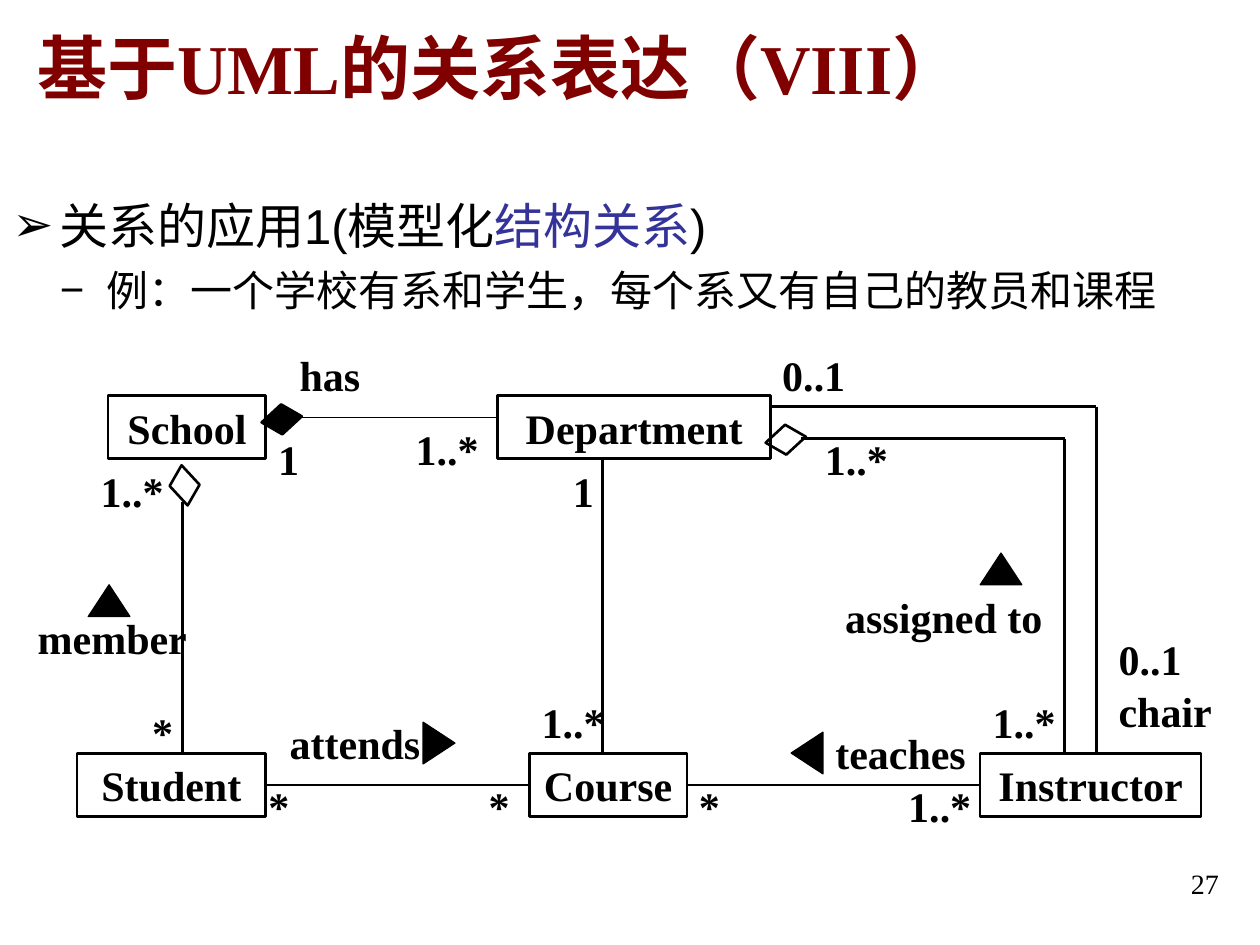
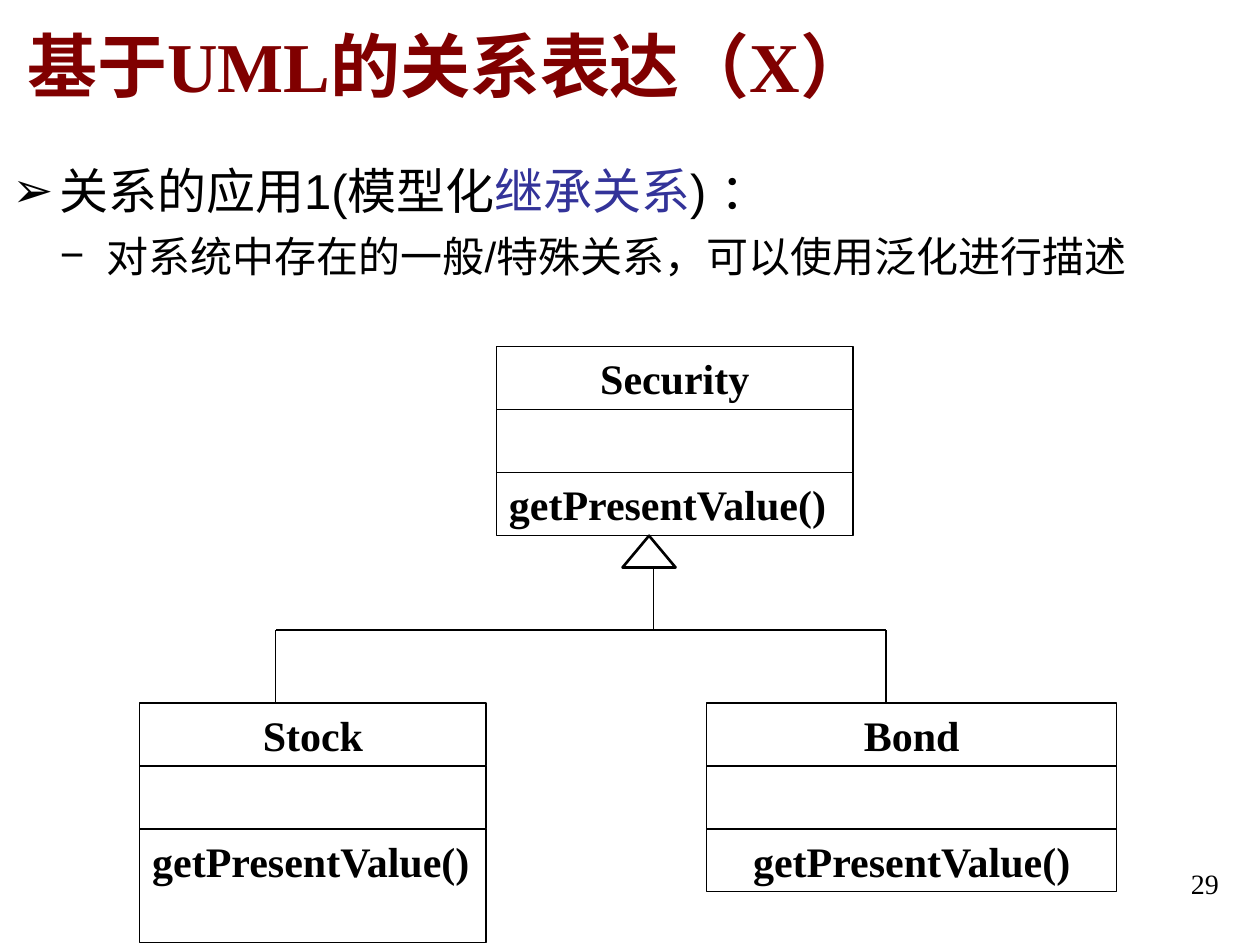
"""Builds two slides on UML relations: structural modelling and inheritance."""
from itertools import pairwise

from lxml.etree import SubElement
from pptx import Presentation
from pptx.dml.color import RGBColor
from pptx.enum.shapes import MSO_CONNECTOR, MSO_SHAPE as SHAPE
from pptx.enum.text import MSO_ANCHOR, PP_ALIGN as ALIGN
from pptx.oxml.ns import qn
from pptx.util import Cm, Pt

BLACK, MAROON, INDIGO = "000000", "800000", "333399"
SERIF, SANS = "Times New Roman", "Arial"
THIN, THICK = 0.75, 1.5
ROW = 1.27
DIAMOND_SIZE, TRIANGLE_SIZE, GENERAL_SIZE = (0.64, 0.51), (0.84, 0.64), (1.07, 0.64)

STRUCTURE = {
    "title": "基于UML的关系表达（VIII）",
    "title_at": (0.51, -0.25),
    "heading": ("关系的应用1(模型化", "结构关系", ")"),
    "detail": "例：一个学校有系和学生，每个系又有自己的教员和课程",
    "body_box": (0, 3.81, 24.33, 5.28),
    "page": "27",
}
INHERITANCE = {
    "title": "基于UML的关系表达（X）",
    "title_at": (0.3, -0.28),
    "heading": ("关系的应用1(模型化", "继承关系", ") ："),
    "detail": "对系统中存在的一般/特殊关系，可以使用泛化进行描述",
    "body_box": (0, 3.12, 25.4, 4.45),
    "page": "29",
}

UPPER, LOWER = 7.98, 15.19
ENTITIES = {
    "School": (2.18, UPPER, 3.18),
    "Student": (1.55, LOWER, 3.81),
    "Department": (10.03, UPPER, 5.51),
    "Course": (10.67, LOWER, 3.18),
    "Instructor": (19.76, LOWER, 4.45),
}
LABELS = [
    ("member", 0.51, 12.22, 3.61),
    ("1..*", 1.78, 9.25, 2.54),
    ("*", 2.82, 14.12, 1.47),
    ("has", 5.79, 6.93, 3.61),
    ("1..*", 8.13, 8.41, 1.91),
    ("1", 5.36, 8.61, 1.47),
    ("*", 5.16, 15.6, 1.47),
    ("*", 9.6, 15.6, 1.47),
    ("attends", 5.59, 14.33, 3.38),
    ("1", 11.3, 9.25, 1.47),
    ("1..*", 10.67, 13.92, 2.54),
    ("chair", 22.3, 13.69, 2.54),
    ("0..1", 22.3, 12.65, 1.91),
    ("0..1", 15.52, 6.93, 1.91),
    ("*", 13.84, 15.6, 1.47),
    ("1..*", 18.06, 15.6, 1.91),
    ("teaches", 16.59, 14.55, 3.38),
    ("assigned to", 16.79, 11.79, 4.65),
    ("1..*", 19.76, 13.92, 1.91),
    ("1..*", 16.38, 8.61, 1.91),
]
AGGREGATIONS = [
    (3.4, 9.53, 120, None),
    (5.36, 8.2, 30, BLACK),
    (15.52, 8.61, 30, None),
]
READING_DIRECTIONS = [
    (1.78, 11.79, 0),
    (8.43, 14.66, 90),
    (15.85, 14.86, 270),
    (19.76, 11.15, 0),
]

SUBCLASS_TOP = 14.17
OPERATION = "getPresentValue()"
CLASSES = [
    ("Security", 10.01, 6.99, 7.19, ROW, ALIGN.LEFT),
    ("Stock", 2.82, SUBCLASS_TOP, 6.98, 2.29, ALIGN.LEFT),
    ("Bond", 14.25, SUBCLASS_TOP, 8.26, ROW, ALIGN.CENTER),
]


def rgb(value):
    return RGBColor.from_string(value)


def style(font, size, face=SERIF, color=BLACK, bold=False):
    font.size, font.name, font.bold = Pt(size), face, bold
    font.color.rgb = rgb(color)


def write(frame, text, size=24, color=BLACK, bold=True, align=ALIGN.LEFT, anchor=MSO_ANCHOR.TOP):
    frame.word_wrap = True
    frame.vertical_anchor = anchor
    line = frame.paragraphs[0]
    line.text, line.alignment = text, align
    style(line.font, size, color=color, bold=bold)


def add_text(slide, text, box, **look):
    write(slide.shapes.add_textbox(*map(Cm, box)).text_frame, text, **look)


def add_outline(shapes, kind, box, weight, fill=None, turn=0):
    outline = shapes.add_shape(kind, *map(Cm, box))
    outline.shadow.inherit = False
    outline.rotation = turn
    outline.line.color.rgb = rgb(BLACK)
    outline.line.width = Pt(weight)
    if fill:
        outline.fill.solid()
        outline.fill.fore_color.rgb = rgb(fill)
    else:
        outline.fill.background()
    return outline


def add_route(slide, weight, *points):
    for start, end in pairwise(points):
        link = slide.shapes.add_connector(MSO_CONNECTOR.STRAIGHT, *map(Cm, start + end))
        link.line.color.rgb = rgb(BLACK)
        link.line.width = Pt(weight)
        SubElement(link._element.spPr, qn("a:effectLst"))


def set_bullet(paragraph, mark, margin, hanging):
    props = paragraph._p.get_or_add_pPr()
    props.set("marL", str(Cm(margin)))
    props.set("indent", str(-Cm(hanging)))
    tint = SubElement(props, qn("a:buClr"))
    SubElement(tint, qn("a:srgbClr"), val=BLACK)
    SubElement(props, qn("a:buFont"), typeface=SANS)
    SubElement(props, qn("a:buChar"), char=mark)


def start_slide(deck, content):
    slide = deck.slides.add_slide(deck.slide_layouts[6])
    add_text(slide, content["title"], (*content["title_at"], 25.4, 3.18),
             size=40, color=MAROON, anchor=MSO_ANCHOR.MIDDLE)
    body = slide.shapes.add_textbox(*map(Cm, content["body_box"])).text_frame
    body.word_wrap = True
    heading, detail = body.paragraphs[0], body.add_paragraph()
    set_bullet(heading, "➢", 0.95, 0.95)
    for words, color in zip(content["heading"], (BLACK, INDIGO, BLACK)):
        part = heading.add_run()
        part.text = words
        style(part.font, 28, SANS, color)
    detail.space_before = Pt(6)
    set_bullet(detail, "−", 1.9, 0.94)
    detail.text = content["detail"]
    style(detail.font, 24, SANS)
    add_text(slide, content["page"], (18.9, 17.35, 5.92, 1.32),
             size=16, bold=False, align=ALIGN.RIGHT)
    return slide


def right(entity):
    left, _, width = ENTITIES[entity]
    return left + width


def draw_structure(slide):
    for name, (left, top, width) in ENTITIES.items():
        entity = add_outline(slide.shapes, SHAPE.RECTANGLE, (left, top, width, ROW), THICK)
        write(entity.text_frame, name, align=ALIGN.CENTER)

    upper_bottom, lower_middle = UPPER + ROW, LOWER + ROW / 2
    course, instructor = ENTITIES["Course"][0], ENTITIES["Instructor"][0]
    add_route(slide, THICK, (3.68, 10.11), (3.68, LOWER))
    add_route(slide, THIN, (5.99, 8.41), (ENTITIES["Department"][0], 8.41))
    add_route(slide, THICK, (right("Student"), lower_middle), (course, lower_middle))
    add_route(slide, THICK, (12.14, LOWER), (12.14, upper_bottom))
    add_route(slide, THICK, (right("Department"), 8.2), (22.1, 8.2), (22.1, LOWER))
    add_route(slide, THICK, (16.15, 8.84), (21.46, 8.84), (21.46, LOWER))
    add_route(slide, THIN, (right("Course"), lower_middle), (instructor, lower_middle))

    for left, top, turn, fill in AGGREGATIONS:
        diamond = add_outline(slide.shapes, SHAPE.PARALLELOGRAM,
                              (left, top, *DIAMOND_SIZE), THICK, fill, turn)
        diamond.adjustments[0] = 0.31
    for left, top, turn in READING_DIRECTIONS:
        add_outline(slide.shapes, SHAPE.ISOSCELES_TRIANGLE,
                    (left, top, *TRIANGLE_SIZE), THIN, BLACK, turn)
    for label, left, top, width in LABELS:
        add_text(slide, label, (left, top, width, ROW))


def draw_inheritance(slide):
    for name, left, top, width, last_height, operation_align in CLASSES:
        group = slide.shapes.add_group_shape()
        compartments = [(name, ROW, ALIGN.CENTER), ("", ROW, ALIGN.LEFT),
                        (OPERATION, last_height, operation_align)]
        for row, (text, height, align) in enumerate(compartments):
            box = (left, top + row * ROW, width, height)
            compartment = add_outline(group.shapes, SHAPE.RECTANGLE, box, THIN)
            if text:
                write(compartment.text_frame, text, align=align)

    add_outline(slide.shapes, SHAPE.ISOSCELES_TRIANGLE, (12.55, 10.8, *GENERAL_SIZE), THICK)
    branch, stock, bond, stem = 12.7, 5.56, 17.86, 13.18
    add_route(slide, THIN, (stock, SUBCLASS_TOP), (stock, branch),
              (bond, branch), (bond, SUBCLASS_TOP))
    add_route(slide, THIN, (stem, branch), (stem, 11.43))


def main():
    deck = Presentation()
    deck.slide_width, deck.slide_height = Cm(25.4), Cm(19.05)
    draw_structure(start_slide(deck, STRUCTURE))
    draw_inheritance(start_slide(deck, INHERITANCE))
    deck.save("out.pptx")


if __name__ == "__main__":
    main()
